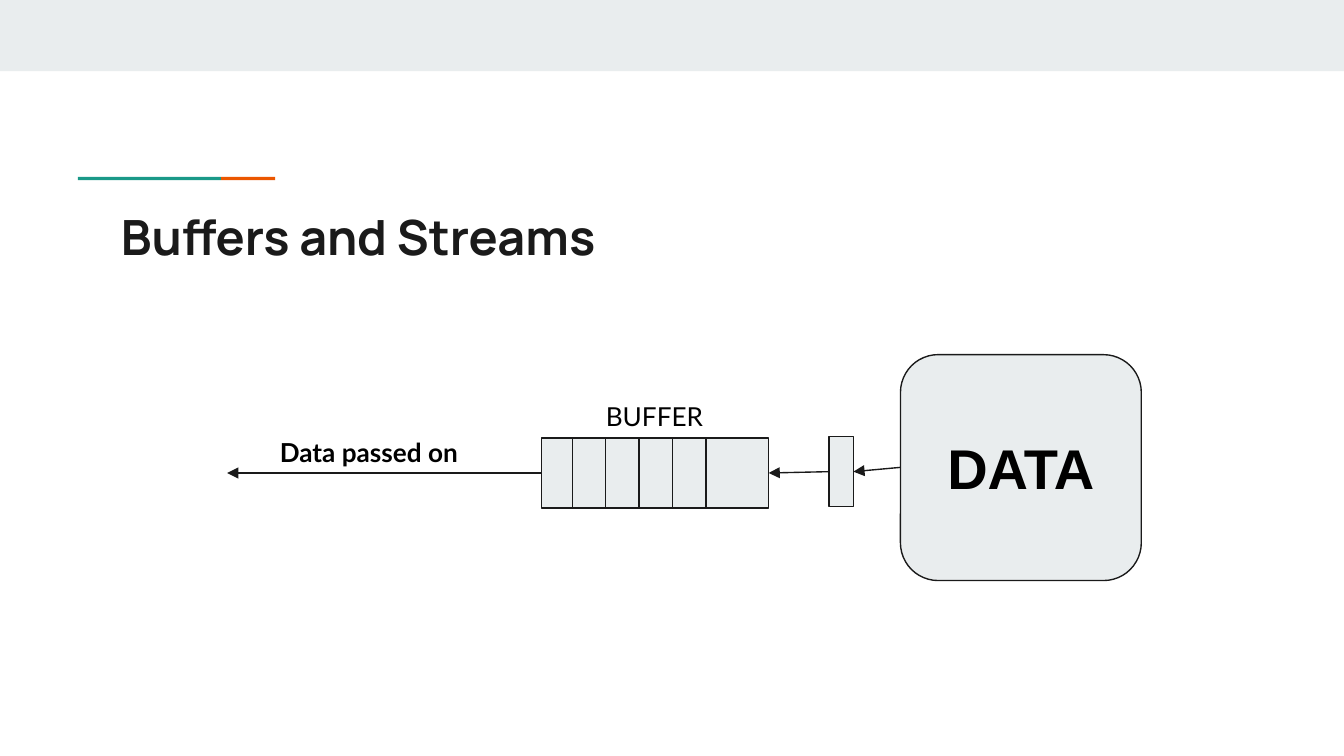
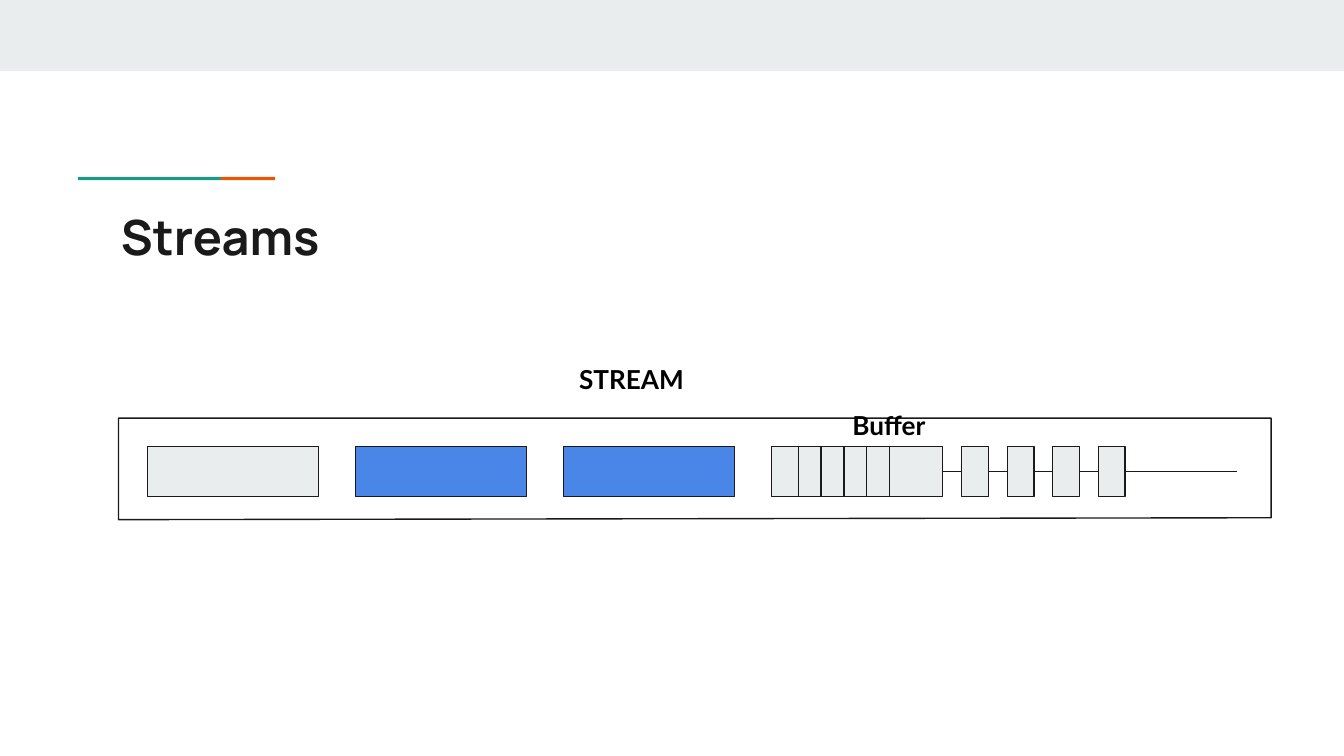
"""Build two slides that explain buffers and streams."""
from dataclasses import dataclass

from lxml.etree import SubElement
from pptx import Presentation
from pptx.dml.color import RGBColor
from pptx.enum.shapes import MSO_CONNECTOR, MSO_SHAPE
from pptx.enum.text import MSO_ANCHOR, MSO_AUTO_SIZE, PP_ALIGN
from pptx.oxml.ns import qn
from pptx.util import Pt


@dataclass(frozen=True)
class Theme:
    """Colours, fonts and sizes shared by the slides."""
    ink: str = "1A1A1A"
    black: str = "000000"
    pale: str = "E9EDEE"
    blue: str = "4A86E8"
    teal: str = "1A9988"
    orange: str = "EB5600"
    line: float = 0.75
    inset: float = 7.2


THEME = Theme()
TITLE = {"name": "Manrope", "size": Pt(26), "bold": True, "color": THEME.ink}
DATA = {"name": "Arial", "size": Pt(30), "bold": True, "color": THEME.black}
LABEL = {"name": "Lato", "size": Pt(14), "bold": False, "color": THEME.black}
BOLD_LABEL = {**LABEL, "bold": True}

SLIDE_SIZE = (720, 405)
TITLE_BOX = (57.6, 103.7, 605.5, 42.5)
FURNITURE = [
    ((0, 0, 720, 38.2), THEME.pale),
    ((41.8, 94.8, 76.6, 1.8), THEME.teal),
    ((118.4, 94.8, 29, 1.8), THEME.orange),
]

BUFFER_SLIDE = {
    "title": "Buffers and Streams",
    "data": ("DATA", (482.4, 190, 129, 121)),
    "boxes": [((290.2, 234.7, 121.6, 37.4), THEME.pale),
              ((444.2, 234, 13, 37.4), THEME.pale)],
    "dividers": {"first": 306.6, "step": 17.9, "top": 234.7, "bottom": 272.1},
    "arrows": [((482.4, 250.4), (457.2, 252.7)),
               ((444.2, 252.7), (411.8, 253.4)),
               ((290.2, 253.4), (121.7, 253.4))],
    "labels": [("BUFFER", (302.4, 207.4, 96.5, 21.6), LABEL),
               ("Data passed on", (133.2, 226.8, 128.9, 25.9), BOLD_LABEL)],
}

STREAM_SLIDE = {
    "title": "Streams",
    "row": {"top": 239.1, "height": 26.9, "middle": 252.5},
    "blocks": {"left": 79.1, "step": 111.4, "width": 91.6,
               "fills": [THEME.pale, THEME.blue, THEME.blue, THEME.pale]},
    "chunks": {"left": 515.2, "step": 24.4, "width": 14.4, "count": 4},
    "dividers": {"first": 427.7, "step": 12.2, "top": 239.1, "bottom": 266},
    "tail_end": 662.8,
    "pipe": [(63.5, 224), (63.5, 278.4), (681, 277.4), (681, 224)],
    "labels": [("Buffer", (422.6, 213.8, 107.3, 10.8), BOLD_LABEL),
               ("STREAM", (224.6, 187.2, 227.5, 30.2), BOLD_LABEL)],
}
DIVIDER_COUNT = 5


def points(values):
    """Turn numbers into lengths in points."""
    return [Pt(value) for value in values]


def outline(shape):
    """Give a shape or connector the thin dark line."""
    shape.line.color.rgb = RGBColor.from_string(THEME.ink)
    shape.line.width = Pt(THEME.line)


def write(shape, text, style, align, anchor=MSO_ANCHOR.TOP):
    """Write one styled paragraph into a shape."""
    frame = shape.text_frame
    inset = Pt(THEME.inset)
    settings = {"word_wrap": True, "auto_size": MSO_AUTO_SIZE.NONE, "vertical_anchor": anchor,
                "margin_left": inset, "margin_right": inset,
                "margin_top": inset, "margin_bottom": inset}
    for name, value in settings.items():
        setattr(frame, name, value)
    paragraph = frame.paragraphs[0]
    paragraph.alignment = align
    run = paragraph.add_run()
    run.text = text
    for name, value in style.items():
        if name == "color":
            run.font.color.rgb = RGBColor.from_string(value)
        else:
            setattr(run.font, name, value)


def add_box(slide, box, fill, lined=True, kind=MSO_SHAPE.RECTANGLE):
    """Add a flat filled shape."""
    shape = slide.shapes.add_shape(kind, *points(box))
    shape.shadow.inherit = False
    shape.fill.solid()
    shape.fill.fore_color.rgb = RGBColor.from_string(fill)
    if lined:
        outline(shape)
    else:
        shape.line.fill.background()
    return shape


def add_line(slide, start, end, arrow=False):
    """Add a straight connector, with an arrowhead at its end if wanted."""
    connector = slide.shapes.add_connector(MSO_CONNECTOR.STRAIGHT, *points(start + end))
    outline(connector)
    if arrow:
        SubElement(connector.line._get_or_add_ln(), qn("a:tailEnd"), type="triangle")
    SubElement(connector.element.spPr, qn("a:effectLst"))


def add_dividers(slide, first, step, top, bottom):
    """Split a buffer with evenly spaced upright lines."""
    for index in range(DIVIDER_COUNT):
        x = first + index * step
        add_line(slide, (x, top), (x, bottom))


def add_labels(slide, labels):
    """Add the centred text labels."""
    for text, box, style in labels:
        write(slide.shapes.add_textbox(*points(box)), text, style, PP_ALIGN.CENTER)


def furnish_layout(layout, slide):
    """Draw the band and the accent rule, and hand them to the layout."""
    for index, (box, fill) in enumerate(FURNITURE):
        element = add_box(slide, box, fill, lined=False).element
        element.nvSpPr.cNvPr.set("id", str(20 + index))
        layout.shapes.element.insert(2 + index, element)


def add_titled_slide(presentation, layout, text):
    """Add a slide and set its title."""
    slide = presentation.slides.add_slide(layout)
    title = slide.shapes.title
    title.left, title.top, title.width, title.height = points(TITLE_BOX)
    write(title, text, TITLE, PP_ALIGN.LEFT)
    return slide


def draw_buffer(slide, content):
    """Draw data that passes through a buffer."""
    text, box = content["data"]
    data = add_box(slide, box, THEME.pale, kind=MSO_SHAPE.ROUNDED_RECTANGLE)
    data.adjustments[0] = 0.167
    write(data, text, DATA, PP_ALIGN.CENTER, MSO_ANCHOR.MIDDLE)
    for box, fill in content["boxes"]:
        add_box(slide, box, fill)
    add_dividers(slide, **content["dividers"])
    for start, end in content["arrows"]:
        add_line(slide, start, end, arrow=True)
    add_labels(slide, content["labels"])


def draw_stream(slide, content):
    """Draw a pipe of blocks and the chunks that fill its buffer."""
    row, blocks, chunks = content["row"], content["blocks"], content["chunks"]
    for index, fill in enumerate(blocks["fills"]):
        left = blocks["left"] + index * blocks["step"]
        add_box(slide, (left, row["top"], blocks["width"], row["height"]), fill)
    link_start = left + blocks["width"]
    for index in range(chunks["count"]):
        left = chunks["left"] + index * chunks["step"]
        add_box(slide, (left, row["top"], chunks["width"], row["height"]), THEME.pale)
        add_line(slide, (left, row["middle"]), (link_start, row["middle"]))
        link_start = left + chunks["width"]
    add_line(slide, (content["tail_end"], row["middle"]), (link_start, row["middle"]))
    add_dividers(slide, **content["dividers"])
    corners = [points(corner) for corner in content["pipe"]]
    builder = slide.shapes.build_freeform(*corners[0])
    builder.add_line_segments(corners[1:], close=True)
    pipe = builder.convert_to_shape()
    pipe.shadow.inherit = False
    pipe.fill.background()
    outline(pipe)
    add_labels(slide, content["labels"])


def main():
    """Build and save the presentation."""
    presentation = Presentation()
    presentation.slide_width, presentation.slide_height = points(SLIDE_SIZE)
    layout = presentation.slide_layouts.get_by_name("Title Only")
    buffer_slide = add_titled_slide(presentation, layout, BUFFER_SLIDE["title"])
    furnish_layout(layout, buffer_slide)
    draw_buffer(buffer_slide, BUFFER_SLIDE)
    stream_slide = add_titled_slide(presentation, layout, STREAM_SLIDE["title"])
    draw_stream(stream_slide, STREAM_SLIDE)
    presentation.save("out.pptx")


if __name__ == "__main__":
    main()
